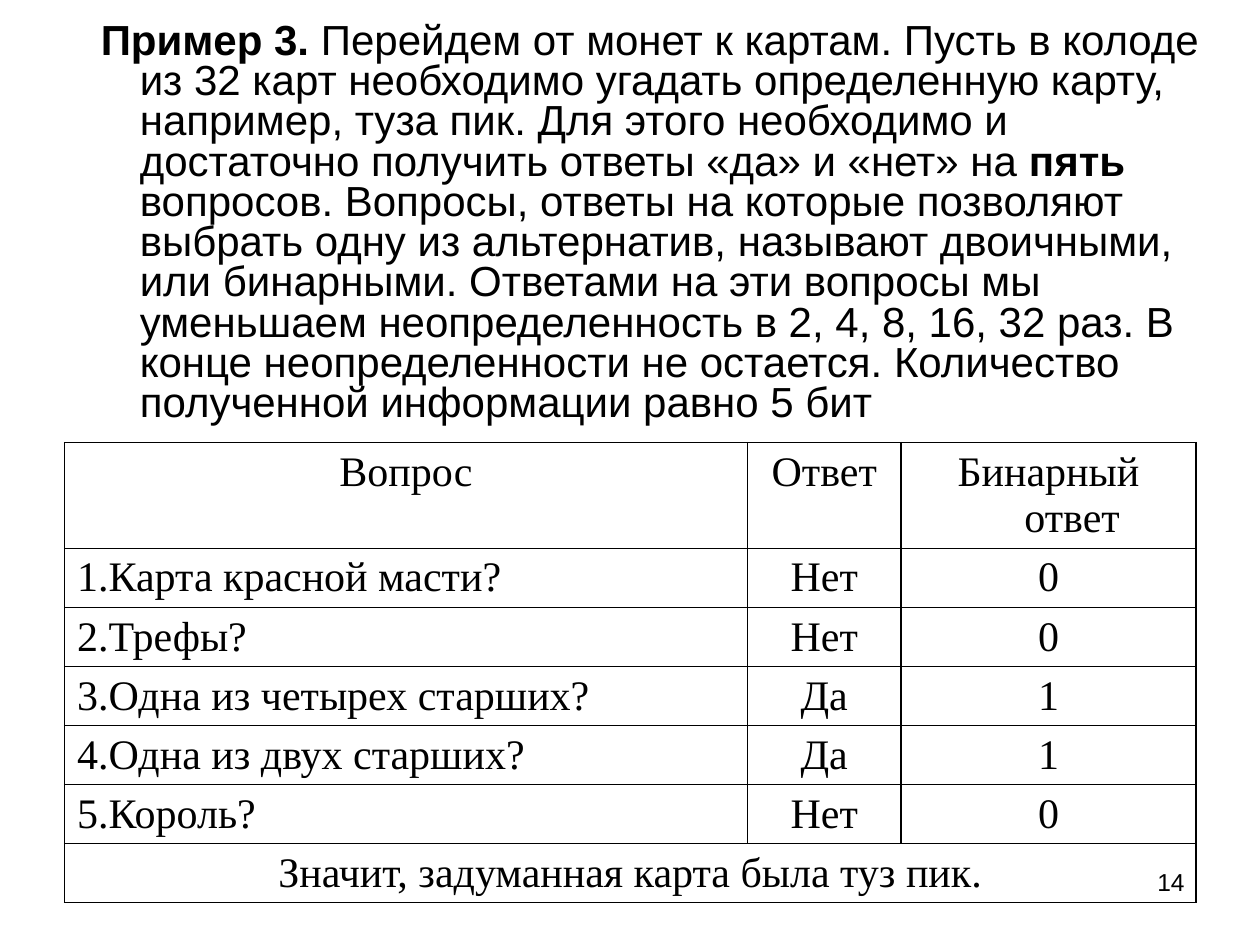
from dataclasses import dataclass

from lxml import etree
from pptx import Presentation
from pptx.dml.color import RGBColor
from pptx.enum.text import MSO_ANCHOR, MSO_AUTO_SIZE, PP_ALIGN
from pptx.oxml.ns import qn
from pptx.util import Pt

CENTER, LEFT, RIGHT = PP_ALIGN.CENTER, PP_ALIGN.LEFT, PP_ALIGN.RIGHT
COLORS = {"text": "000000", "border": "000000"}
BODY_FONT, TABLE_FONT = "Arial", "Times New Roman"
TITLE_AND_CONTENT = 1


@dataclass
class TextRun:
    text: str
    bold: bool = False


@dataclass
class Question:
    text: str
    answer: str
    binary: str


EXAMPLE = [
    TextRun("Пример 3. ", True),
    TextRun("Перейдем от монет к картам. Пусть в колоде из 32 карт необходимо "
            "угадать определенную карту, например, туза пик. Для этого необходимо "
            "и достаточно получить ответы «да» и «нет» на "),
    TextRun("пять", True),
    TextRun(" вопросов. Вопросы, ответы на которые позволяют выбрать одну из "
            "альтернатив, называют двоичными, или бинарными. Ответами на эти "
            "вопросы мы уменьшаем неопределенность в 2, 4, 8, 16, 32 раз. В конце "
            "неопределенности не остается. Количество полученной информации "
            "равно 5 бит"),
]
HEADER = Question("Вопрос", "Ответ", "Бинарный ответ")
QUESTIONS = [
    Question("1.Карта красной масти?", "Нет", "0"),
    Question("2.Трефы?", "Нет", "0"),
    Question("3.Одна из четырех старших?", "Да", "1"),
    Question("4.Одна из двух старших?", "Да", "1"),
    Question("5.Король?", "Нет", "0"),
]
CONCLUSION = "Значит, задуманная карта была туз пик."
COLUMN_WIDTHS = [390.2, 87.8, 168.5]
HEADER_HEIGHT, ROW_HEIGHT = 54, 32.4


def set_font(paragraph, name: str, size: float) -> None:
    paragraph.font.name = name
    paragraph.font.size = Pt(size)
    paragraph.font.color.rgb = RGBColor.from_string(COLORS["text"])


def set_hanging_indent(paragraph, margin: float, hanging: float) -> None:
    properties = paragraph._p.get_or_add_pPr()
    properties.set("marL", str(Pt(margin)))
    properties.set("indent", str(-Pt(hanging)))


def add_example(slide) -> None:
    body = slide.placeholders[1]
    body.left, body.top, body.width, body.height = Pt(14.4), Pt(9.4), Pt(686.2), Pt(232.6)
    frame = body.text_frame
    frame.auto_size = MSO_AUTO_SIZE.NONE
    frame.vertical_anchor = MSO_ANCHOR.TOP
    paragraph = frame.paragraphs[0]
    paragraph.alignment = LEFT
    paragraph.line_spacing = 0.8
    paragraph.space_before = Pt(0)
    set_hanging_indent(paragraph, 58.3, 22.3)
    etree.SubElement(paragraph._p.get_or_add_pPr(), qn("a:buNone"))
    set_font(paragraph, BODY_FONT, 24)
    for part in EXAMPLE:
        run = paragraph.add_run()
        run.text = part.text
        run.font.bold = part.bold


def format_cell(cell) -> None:
    """Draw a black border on every side and leave the cell unfilled."""
    properties = cell._tc.get_or_add_tcPr()
    for side in ("lnL", "lnR", "lnT", "lnB"):
        line = etree.SubElement(properties, qn(f"a:{side}"), w=str(Pt(1)))
        fill = etree.SubElement(line, qn("a:solidFill"))
        etree.SubElement(fill, qn("a:srgbClr"), val=COLORS["border"])
    cell.fill.background()


def write_cell(cell, text: str, alignment: PP_ALIGN) -> None:
    paragraph = cell.text_frame.paragraphs[0]
    paragraph.alignment = alignment
    set_hanging_indent(paragraph, 27, 27)
    set_font(paragraph, TABLE_FONT, 24)
    paragraph.add_run().text = text


def add_question_table(slide) -> None:
    rows = [HEADER, *QUESTIONS]
    frame = slide.shapes.add_table(
        len(rows) + 1, len(COLUMN_WIDTHS), Pt(36.9), Pt(253),
        Pt(sum(COLUMN_WIDTHS)), Pt(HEADER_HEIGHT + ROW_HEIGHT * len(rows)))
    table = frame.table
    table.first_row = table.horz_banding = False
    for column, width in zip(table.columns, COLUMN_WIDTHS):
        column.width = Pt(width)
    for index, row in enumerate(table.rows):
        row.height = Pt(ROW_HEIGHT if index else HEADER_HEIGHT)
    for cell in table.iter_cells():
        format_cell(cell)
    for index, question in enumerate(rows):
        write_cell(table.cell(index, 0), question.text, LEFT if index else CENTER)
        write_cell(table.cell(index, 1), question.answer, CENTER)
        write_cell(table.cell(index, 2), question.binary, CENTER)
    conclusion = table.cell(len(rows), 0)
    conclusion.merge(table.cell(len(rows), len(COLUMN_WIDTHS) - 1))
    write_cell(conclusion, CONCLUSION, CENTER)


def add_page_number(slide, number: str) -> None:
    box = slide.shapes.add_textbox(Pt(516.2), Pt(491.8), Pt(167.8), Pt(37.4))
    box.text_frame.word_wrap = True
    paragraph = box.text_frame.paragraphs[0]
    paragraph.alignment = RIGHT
    set_font(paragraph, BODY_FONT, 14)
    paragraph.add_run().text = number


def main() -> None:
    presentation = Presentation()
    presentation.slide_width, presentation.slide_height = Pt(720), Pt(540)
    slide = presentation.slides.add_slide(presentation.slide_layouts[TITLE_AND_CONTENT])
    title = slide.shapes.title._element
    title.getparent().remove(title)
    add_example(slide)
    add_question_table(slide)
    add_page_number(slide, "14")
    presentation.save("out.pptx")


if __name__ == "__main__":
    main()
